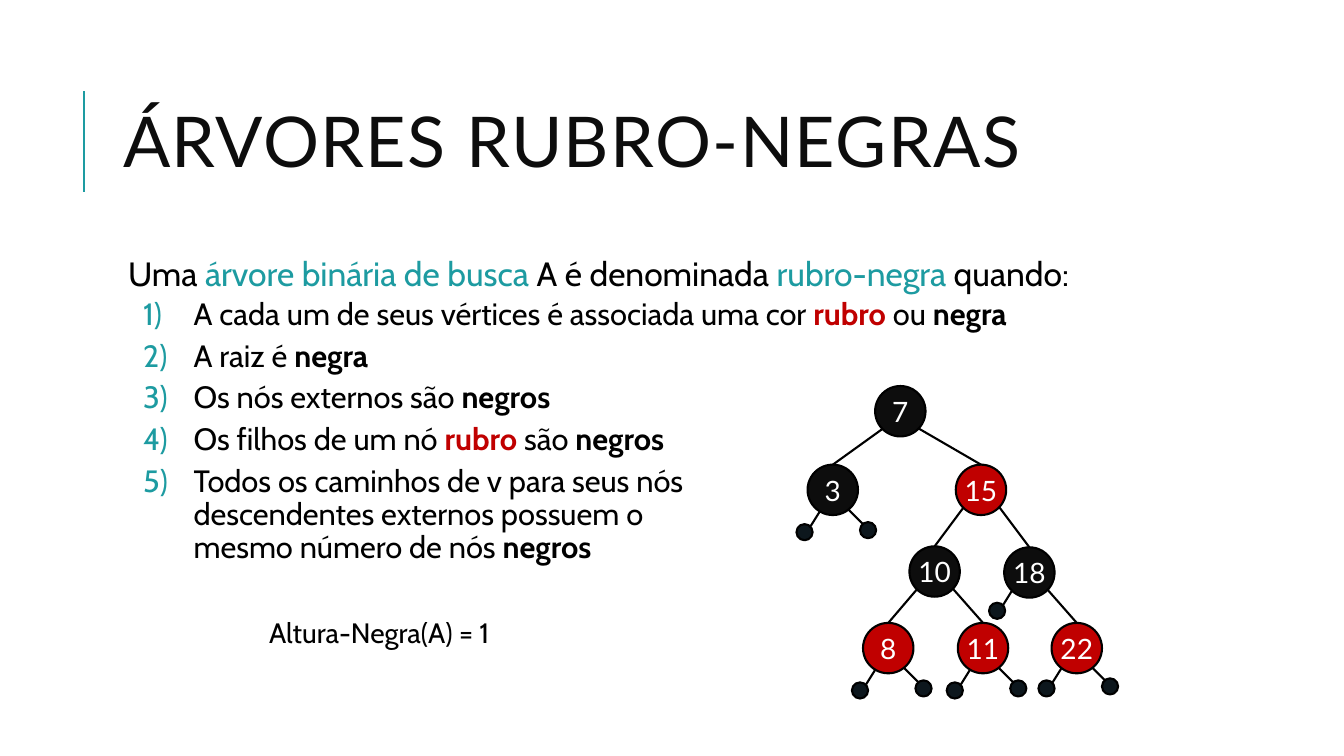
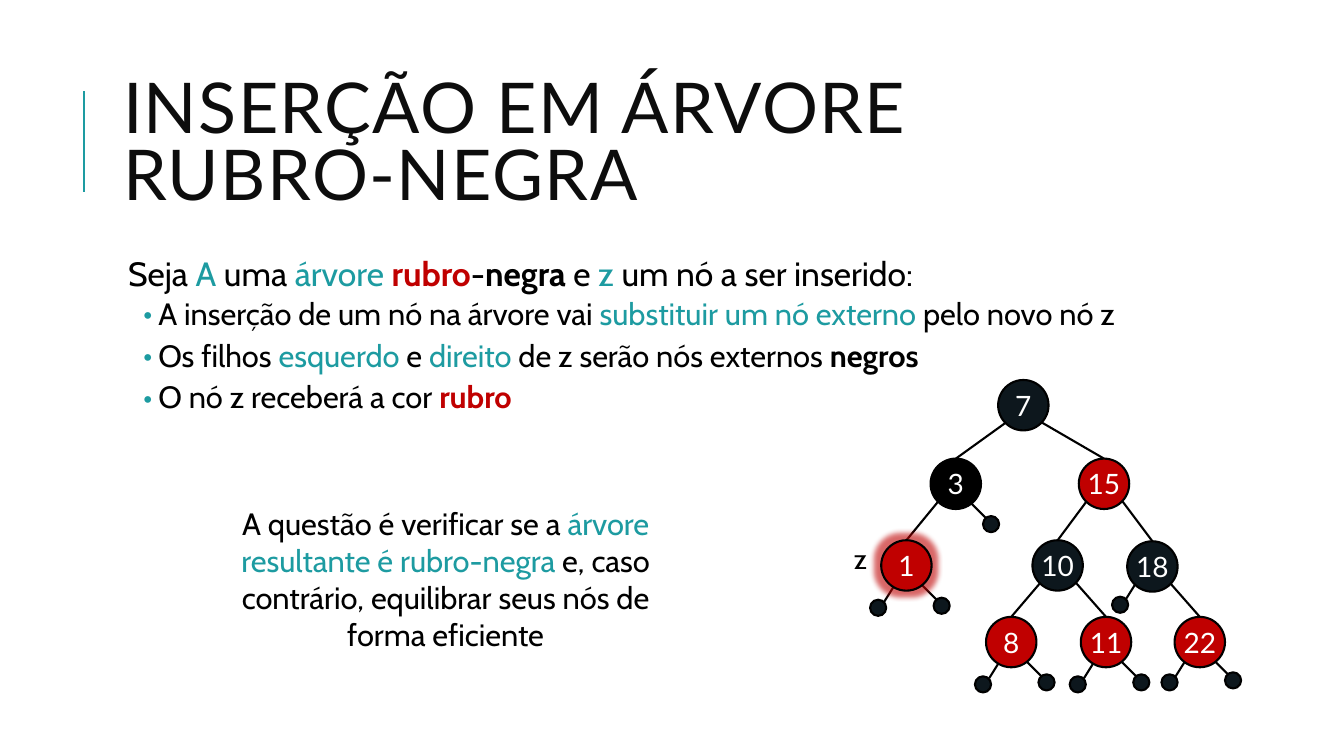
from lxml import etree
from pptx import Presentation
from pptx.dml.color import RGBColor
from pptx.enum.shapes import MSO_CONNECTOR, MSO_SHAPE
from pptx.enum.text import MSO_ANCHOR, MSO_AUTO_SIZE, PP_ALIGN
from pptx.oxml.ns import qn
from pptx.util import Inches, Pt

LINE = MSO_CONNECTOR.STRAIGHT
OVAL = MSO_SHAPE.OVAL
MIDDLE = MSO_ANCHOR.MIDDLE
LEFT, CENTER = PP_ALIGN.LEFT, PP_ALIGN.CENTER
FIXED, GROW = MSO_AUTO_SIZE.NONE, MSO_AUTO_SIZE.SHAPE_TO_FIT_TEXT

HEX = {"teal": "1D9BA1", "red": "C00000", "black": "000000",
       "ink": "0D0D0D", "night": "0D171D", "white": "FFFFFF"}
HEAD, BODY = "Lato", "Cabin"
NODE, DOT = 0.5, 0.16

# Node: (x, y) from the root's corner
SPOTS = {"7": (0, 0), "3": (-0.67, 0.78), "15": (0.8, 0.78),
         "10": (0.34, 1.59), "18": (1.28, 1.6), "8": (-0.12, 2.35),
         "11": (0.82, 2.35), "22": (1.75, 2.35), "1": (-1.16, 1.59)}
REDS = ("15", "8", "11", "22", "1")
# Parent, child, side
EDGES = [("7", "3", "L"), ("7", "15", "R"), ("15", "10", "L"),
         ("15", "18", "R"), ("10", "8", "L"), ("10", "11", "R"),
         ("18", "22", "R")]
# Parent, side, nudge
LEAVES = [("3", "R", 0), ("18", "L", -0.04), ("8", "L", 0), ("8", "R", 0),
          ("11", "L", 0), ("11", "R", 0), ("22", "L", -0.02),
          ("22", "R", -0.02)]
# Side: stem start, stem end, dot corner, all from the node's corner
STEMS = {"L": ((0.13, 0.45), (0.03, 0.61), (-0.11, 0.59)),
         "R": ((0.4, 0.44), (0.55, 0.59), (0.52, 0.57))}


def rgb(name):
    """Return a named colour."""
    return RGBColor.from_string(HEX[name])


def write(para, runs, size=20, font=BODY, tone="black", align=LEFT, track=0):
    """Write plain strings and (text, tone) pairs into a paragraph."""
    para.alignment = align
    for item in runs:
        text, mark = (item, tone) if isinstance(item, str) else item
        for num, part in enumerate(text.split("\n")):
            if num:
                para.add_line_break()
            run = para.add_run()
            run.text = part
            run.font.size = Pt(size)
            run.font.name = font
            run.font.bold = mark in ("red", "bold")
            run.font.color.rgb = rgb("black" if mark == "bold" else mark)
            if track:
                run.font._element.set("spc", str(track))


def space(para, line, before=0, after=0):
    """Set the line spacing and the gaps of a paragraph."""
    para.line_spacing = line
    para.space_before, para.space_after = Pt(before), Pt(after)


def bullet(para, left, hang, kind, **attrs):
    """Set indents and the bullet element of a paragraph."""
    props = para._p.get_or_add_pPr()
    props.set("marL", str(Inches(left)))
    props.set("indent", str(Inches(-hang)))
    if kind != "buNone":
        tint = etree.SubElement(props, qn("a:buClr"))
        etree.SubElement(tint, qn("a:srgbClr"), val=HEX["teal"])
        etree.SubElement(props, qn("a:buFont"), typeface=BODY)
    etree.SubElement(props, qn("a:" + kind), **attrs)


def place(shape, left, top, width, height):
    """Move and size a shape, in inches."""
    shape.left, shape.top = Inches(left), Inches(top)
    shape.width, shape.height = Inches(width), Inches(height)


def pad(frame, inset):
    """Give a text frame equal insets."""
    frame.margin_left = frame.margin_right = Inches(inset)
    frame.margin_top = frame.margin_bottom = Inches(inset)


def link(slide, start, end, tone="black"):
    """Draw a straight line between two points."""
    line = slide.shapes.add_connector(
        LINE, *(Inches(val) for val in (*start, *end)))
    line.line.color.rgb = rgb(tone)
    line.line.width = Pt(1.5)
    etree.SubElement(line._element.spPr, qn("a:effectLst"))
    return line


def disc(slide, spot, size, fill, text=""):
    """Draw an outlined circle, with a label if there is text."""
    shape = slide.shapes.add_shape(
        OVAL, *(Inches(val) for val in (*spot, size, size)))
    shape.shadow.inherit = False
    shape.fill.solid()
    shape.fill.fore_color.rgb = rgb(fill)
    shape.line.color.rgb = rgb("black")
    shape.line.width = Pt(1.5)
    if text:
        frame = shape.text_frame
        pad(frame, 0)
        frame.vertical_anchor = MIDDLE
        frame.word_wrap = False
        write(frame.paragraphs[0], [text], font=HEAD, tone="white",
              align=CENTER)
    return shape


def glow(shape, tone):
    """Add a soft halo to a shape."""
    effects = shape._element.spPr.find(qn("a:effectLst"))
    halo = etree.SubElement(effects, qn("a:glow"), rad=str(Pt(8)))
    tint = etree.SubElement(halo, qn("a:srgbClr"), val=HEX[tone])
    etree.SubElement(tint, qn("a:alpha"), val="60000")


def label(slide, box, runs, size=20, wrap=False, align=LEFT, left=0):
    """Add a text box."""
    shape = slide.shapes.add_textbox(*(Inches(val) for val in box))
    frame = shape.text_frame
    frame.word_wrap = wrap
    frame.auto_size = GROW
    para = frame.paragraphs[0]
    write(para, runs, size=size, align=align)
    if left:
        bullet(para, left, 0, "buNone")


def tree(slide, root, edges, leaves, fills):
    """Draw the tree from its root's corner; return the nodes by key."""
    def at(key, step):
        """Offset a point from a node's corner."""
        return tuple(a + b + c for a, b, c in zip(root, SPOTS[key], step))

    for parent, child, side in edges:
        link(slide, at(parent, (0.08 if side == "L" else 0.43, 0.42)),
             at(child, (NODE / 2, 0)))
    for key, side, nudge in leaves:
        start, end, spot = (at(key, (x + nudge, y + nudge))
                            for x, y in STEMS[side])
        link(slide, start, end)
        disc(slide, spot, DOT, "night")
    keys = ["7"] + [edge[1] for edge in edges]
    return {key: disc(slide, at(key, (0, 0)), NODE,
                      "red" if key in REDS else fills.get(key, fills["any"]),
                      key)
            for key in keys}


def page(deck, title, lead, items, indent, mark):
    """Add a slide with its title, lead sentence and list."""
    slide = deck.slides.add_slide(deck.slide_layouts[1])
    head, body = slide.placeholders
    place(head, 1.12, 0.64, 10.63, 1.64)
    frame = head.text_frame
    frame.auto_size = FIXED
    frame.vertical_anchor = MIDDLE
    para = frame.paragraphs[0]
    write(para, [title], size=50, font=HEAD, tone="ink", track=100)
    space(para, 0.8)

    place(body, 1.12, 2.5, 10.63, 4.4)
    frame = body.text_frame
    frame.auto_size = FIXED
    pad(frame, 0.05)
    para = frame.paragraphs[0]
    write(para, lead, size=24)
    space(para, 0.9, 12, 2)
    bullet(para, 0.1, 0, "buNone")
    for runs in items:
        para = frame.add_paragraph()
        para.level = 1
        write(para, runs, size=22)
        space(para, 0.9, 2, 4)
        bullet(para, *indent, **mark)
    return slide


def rules(deck):
    """Build the slide on the rules of the tree."""
    slide = page(
        deck, "ÁRVORES RUBRO-NEGRAS",
        ["Uma ", ("árvore binária de busca", "teal"), " A é denominada ",
         ("rubro-negra", "teal"), " quando:"],
        [["A cada um de seus vértices é associada uma cor ",
          ("rubro", "red"), " ou ", ("negra", "bold")],
         ["A raiz é ", ("negra", "bold")],
         ["Os nós externos são ", ("negros", "bold")],
         ["Os filhos de um nó ", ("rubro", "red"), " são ",
          ("negros", "bold")],
         ["Todos os caminhos de v para seus nós \n"
          "descendentes externos possuem o \nmesmo número de nós ",
          ("negros", "bold")]],
        (0.75, 0.5), {"kind": "buAutoNum", "type": "arabicParenR"})
    tree(slide, (8.68, 3.83), EDGES, LEAVES + [("3", "L", 0)],
         {"any": "ink"})
    label(slide, (2.57, 6.06, 2.51, 0.44), ["Altura-Negra(A) = 1"])
    return slide


def insert(deck):
    """Build the slide on inserting a node."""
    slide = page(
        deck, "INSERÇÃO EM ÁRVORE RUBRO-NEGRA",
        ["Seja ", ("A", "teal"), " uma ", ("árvore ", "teal"),
         ("rubro", "red"), "-", ("negra ", "bold"), "e ", ("z", "teal"),
         " um nó a ser inserido:"],
        [["A inserção de um nó na árvore vai ",
          ("substituir um nó externo", "teal"), " pelo novo nó z"],
         ["Os filhos ", ("esquerdo", "teal"), " e ", ("direito", "teal"),
          " de z serão nós externos ", ("negros", "bold")],
         ["O nó z receberá a cor ", ("rubro", "red")]],
        (0.4, 0.15), {"kind": "buChar", "char": "•"})
    label(slide, (1.65, 4.96, 5.04, 1.58),
          ["A questão é verificar se a ",
           ("árvore resultante é rubro-negra ", "teal"),
           "e, caso contrário, equilibrar seus nós de forma eficiente"],
          size=22, wrap=True, align=CENTER, left=0.5)
    nodes = tree(slide, (9.9, 3.77), EDGES + [("3", "1", "L")],
                 LEAVES + [("1", "L", 0), ("1", "R", 0)],
                 {"any": "night", "3": "black"})
    glow(nodes["1"], "red")
    label(slide, (8.37, 5.32, 0.32, 0.44), ["z"])


def main():
    """Build and save the deck."""
    deck = Presentation()
    deck.slide_width, deck.slide_height = Inches(13.33), Inches(7.5)
    first = rules(deck)
    insert(deck)
    bar = link(first, (0.83, 1.9), (0.83, 0.9), "teal")
    deck.slide_master.shapes.element.append(bar._element)
    deck.save("out.pptx")


main()
